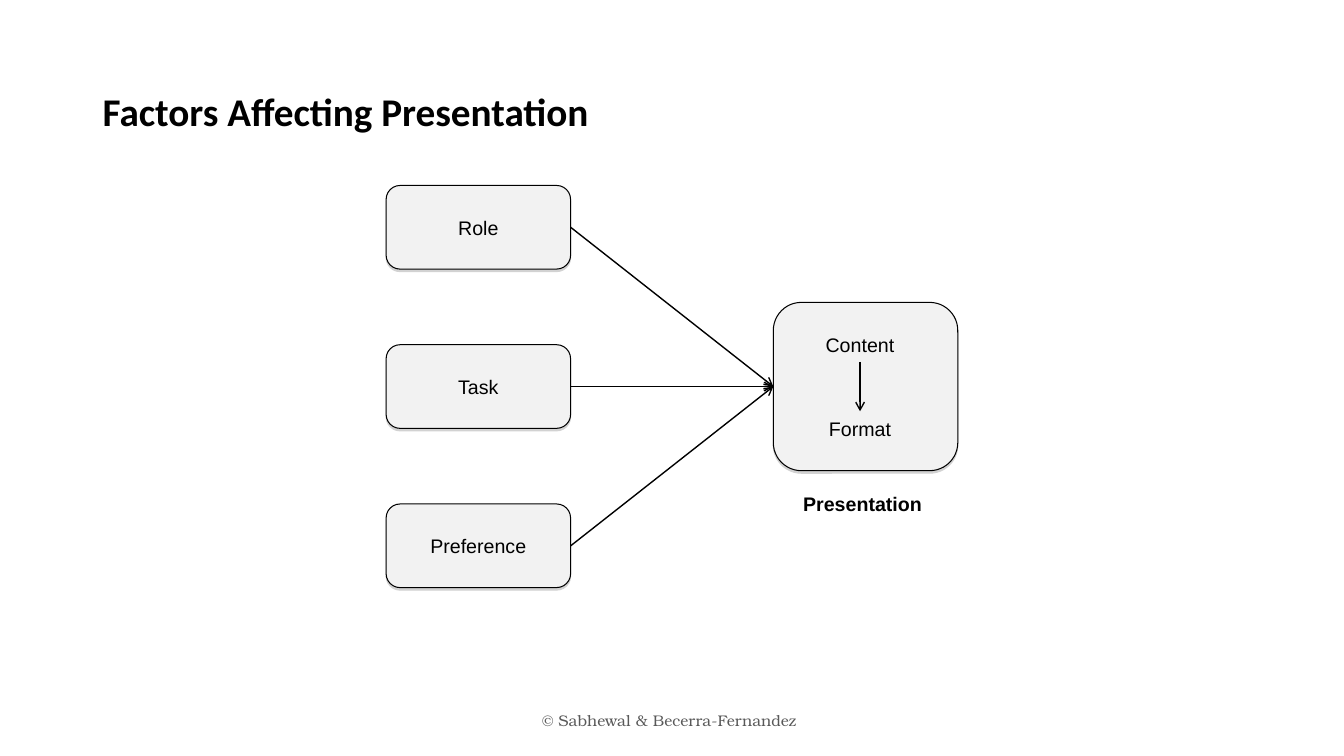
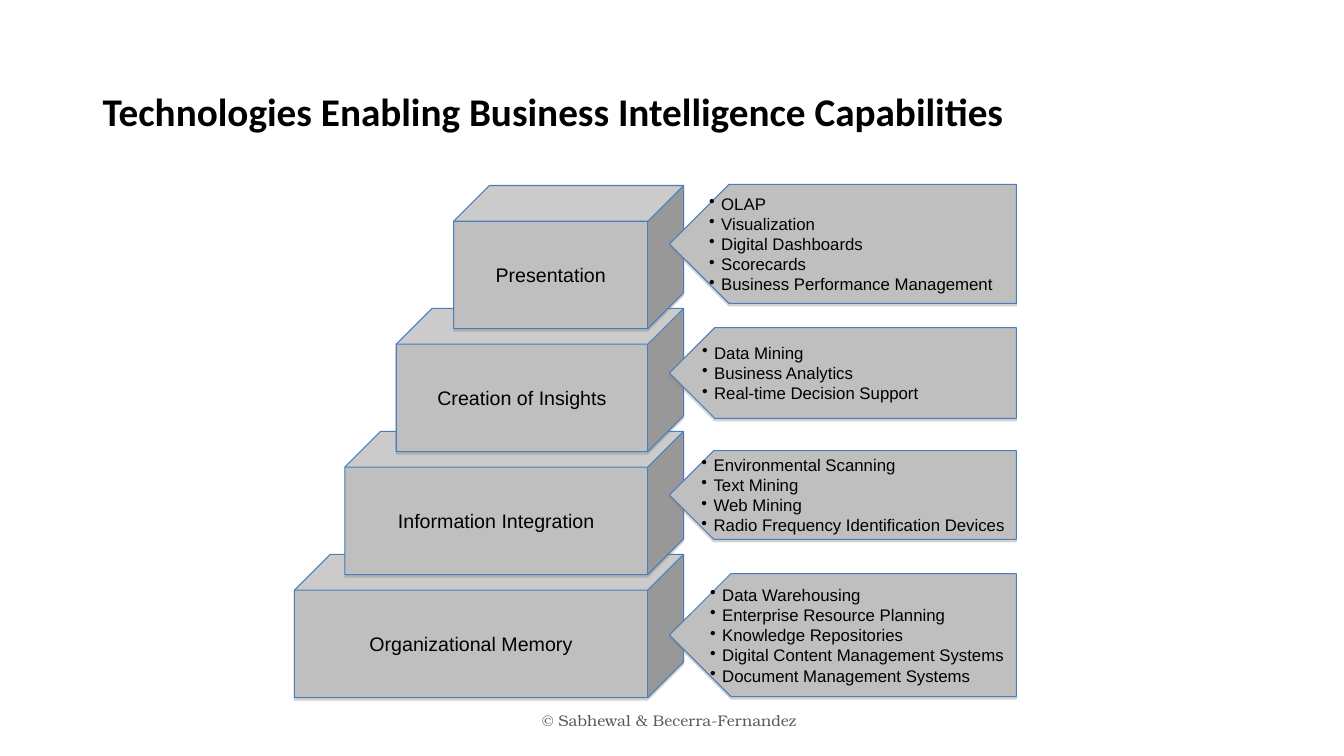
"""Build two slides on presentation factors and business intelligence technologies."""
from dataclasses import dataclass

import lxml.etree
import pptx
import pptx.dml.color
import pptx.enum.shapes
import pptx.enum.text
import pptx.oxml.ns
import pptx.util

Inches = pptx.util.Inches
Pt = pptx.util.Pt
SHAPE = pptx.enum.shapes.MSO_SHAPE
ALIGN = pptx.enum.text.PP_ALIGN
ANCHOR = pptx.enum.text.MSO_ANCHOR
TOP, LEFT, BOTTOM, RIGHT = range(4)


@dataclass(frozen=True)
class Theme:
    ink: str = "000000"
    muted: str = "595959"
    box_fill: str = "F2F2F2"
    step_fill: str = "BFBFBF"
    step_line: str = "4A7EBB"
    shadow: str = "808080"
    title_font: str = "Calibri"
    body_font: str = "Arial"
    footer_font: str = "TeX Gyre Bonum"
    title_size: float = 28
    label_size: float = 14
    bullet_size: float = 12
    footer_size: float = 11
    outline: float = 0.75
    arrow: float = 1


@dataclass(frozen=True)
class Box:
    x: float
    y: float
    w: float
    h: float


@dataclass(frozen=True)
class Step:
    label: str
    left: float
    tag_top: float
    tag_height: float
    technologies: tuple[str, ...]


THEME = Theme()
FOOTER = "© Sabhewal & Becerra-Fernandez"
FACTORS = ("Role", "Task", "Preference")
STEPS = (
    Step("Presentation", 4.5, 1.83, 1.18,
         ("OLAP", "Visualization", "Digital Dashboards", "Scorecards",
          "Business Performance Management")),
    Step("Creation of Insights", 3.93, 3.25, 0.9,
         ("Data Mining", "Business Analytics", "Real-time Decision Support")),
    Step("Information Integration", 3.42, 4.47, 0.88,
         ("Environmental Scanning", "Text Mining", "Web Mining",
          "Radio Frequency Identification Devices")),
    Step("Organizational Memory", 2.92, 5.69, 1.22,
         ("Data Warehousing", "Enterprise Resource Planning", "Knowledge Repositories",
          "Digital Content Management Systems", "Document Management Systems")),
)


def rgb(color: str) -> pptx.dml.color.RGBColor:
    """Turn a hex string into a colour."""
    return pptx.dml.color.RGBColor.from_string(color)


def add_xml(parent, tag: str, **attrs: str):
    """Append a drawing element and return it."""
    return lxml.etree.SubElement(parent, pptx.oxml.ns.qn(tag), attrs)


def write(sp, text: str, size: float = THEME.label_size, font: str = THEME.body_font,
          color: str = THEME.ink, bold: bool = False, align=ALIGN.CENTER) -> None:
    """Fill a shape with middle-anchored text in one style."""
    tf = sp.text_frame
    tf.text = text
    tf.vertical_anchor = ANCHOR.MIDDLE
    for p in tf.paragraphs:
        p.alignment = align
        for r in p.runs:
            r.font.size = Pt(size)
            r.font.name = font
            r.font.bold = bold
            r.font.color.rgb = rgb(color)


def add_text(s, box: Box, text: str, wrap: bool = True, **style):
    """Add a styled text box."""
    sp = s.shapes.add_textbox(Inches(box.x), Inches(box.y), Inches(box.w), Inches(box.h))
    sp.text_frame.word_wrap = wrap
    write(sp, text, **style)
    return sp


def add_block(s, kind, box: Box, fill: str, line: str, adj: float):
    """Add an outlined shape with a soft drop shadow."""
    sp = s.shapes.add_shape(kind, Inches(box.x), Inches(box.y), Inches(box.w), Inches(box.h))
    sp.adjustments[0] = adj
    sp.fill.solid()
    sp.fill.fore_color.rgb = rgb(fill)
    sp.line.color.rgb = rgb(line)
    sp.line.width = Pt(THEME.outline)
    sp.shadow.inherit = False
    effects = sp.element.spPr.find(pptx.oxml.ns.qn("a:effectLst"))
    shadow = add_xml(effects, "a:outerShdw", blurRad="0", dist=str(Pt(1.8)),
                     dir="5400000", rotWithShape="0")
    add_xml(add_xml(shadow, "a:srgbClr", val=THEME.shadow), "a:alpha", val="35000")
    return sp


def add_rounded(s, box: Box):
    """Add a light rounded box."""
    return add_block(s, SHAPE.ROUNDED_RECTANGLE, box, THEME.box_fill, THEME.ink, 0.167)


def add_arrow(s, start, start_side: int, end, end_side: int) -> None:
    """Join two shapes with a straight arrow."""
    c = s.shapes.add_connector(pptx.enum.shapes.MSO_CONNECTOR.STRAIGHT, 0, 0, 0, 0)
    c.begin_connect(start, start_side)
    c.end_connect(end, end_side)
    c.line.color.rgb = rgb(THEME.ink)
    c.line.width = Pt(THEME.arrow)
    add_xml(c.element.spPr.find(pptx.oxml.ns.qn("a:ln")), "a:tailEnd", type="arrow")
    add_xml(c.element.spPr, "a:effectLst")


def add_slide(prs, title: str):
    """Add a blank slide with the shared title and footer."""
    s = prs.slides.add_slide(prs.slide_layouts[6])
    sp = add_text(s, Box(0.92, 0.4, 11.5, 1.45), title, size=THEME.title_size,
                  font=THEME.title_font, bold=True, align=ALIGN.LEFT)
    sp.text_frame.paragraphs[0].line_spacing = 0.9
    add_text(s, Box(4.39, 6.95, 4.5, 0.4), FOOTER, size=THEME.footer_size,
             font=THEME.footer_font, color=THEME.muted)
    return s


def add_factors(prs) -> None:
    """Draw the factors that lead to presentation."""
    s = add_slide(prs, "Factors Affecting Presentation")
    factors = []
    for i, name in enumerate(FACTORS):
        sp = add_rounded(s, Box(3.83, 1.84 + 1.58 * i, 1.83, 0.83))
        write(sp, name)
        factors.append(sp)
    hub = add_rounded(s, Box(7.67, 3, 1.83, 1.67))
    content, layout = (add_text(s, Box(8.08, y, 0.9, 0.34), name, wrap=False)
                       for name, y in (("Content", 3.25), ("Format", 4.08)))
    add_arrow(s, content, BOTTOM, layout, TOP)
    for sp in factors:
        add_arrow(s, sp, RIGHT, hub, LEFT)
    add_text(s, Box(7.86, 4.83, 1.39, 0.34), "Presentation", wrap=False, bold=True)


def add_tag(s, step: Step) -> None:
    """Draw the left-pointing list of technologies for a step."""
    sp = add_block(s, SHAPE.PENTAGON, Box(6.64, step.tag_top, 3.44, step.tag_height),
                   THEME.step_fill, THEME.step_line, 0.5)
    sp.element.spPr.xfrm.set("flipH", "1")
    write(sp, "\n".join(step.technologies), size=THEME.bullet_size, align=ALIGN.LEFT)
    indent = Inches(0.12)
    for p in sp.text_frame.paragraphs:
        props = p._p.get_or_add_pPr()
        props.set("marL", str(indent))
        props.set("indent", str(-indent))
        add_xml(props, "a:buChar", char="•")


def add_technologies(prs) -> None:
    """Draw the staircase of capabilities and their technologies."""
    s = add_slide(prs, "Technologies Enabling Business Intelligence Capabilities")
    for i, step in reversed(list(enumerate(STEPS))):
        box = Box(step.left, 1.84 + 1.22 * i, 6.78 - step.left, 1.42)
        sp = add_block(s, SHAPE.CUBE, box, THEME.step_fill, THEME.step_line, 0.25)
        write(sp, step.label)
    for step in STEPS:
        add_tag(s, step)


def main() -> None:
    """Build and save the presentation."""
    prs = pptx.Presentation()
    prs.slide_width = Inches(13.33)
    prs.slide_height = Inches(7.5)
    add_factors(prs)
    add_technologies(prs)
    prs.save("out.pptx")


if __name__ == "__main__":
    main()
